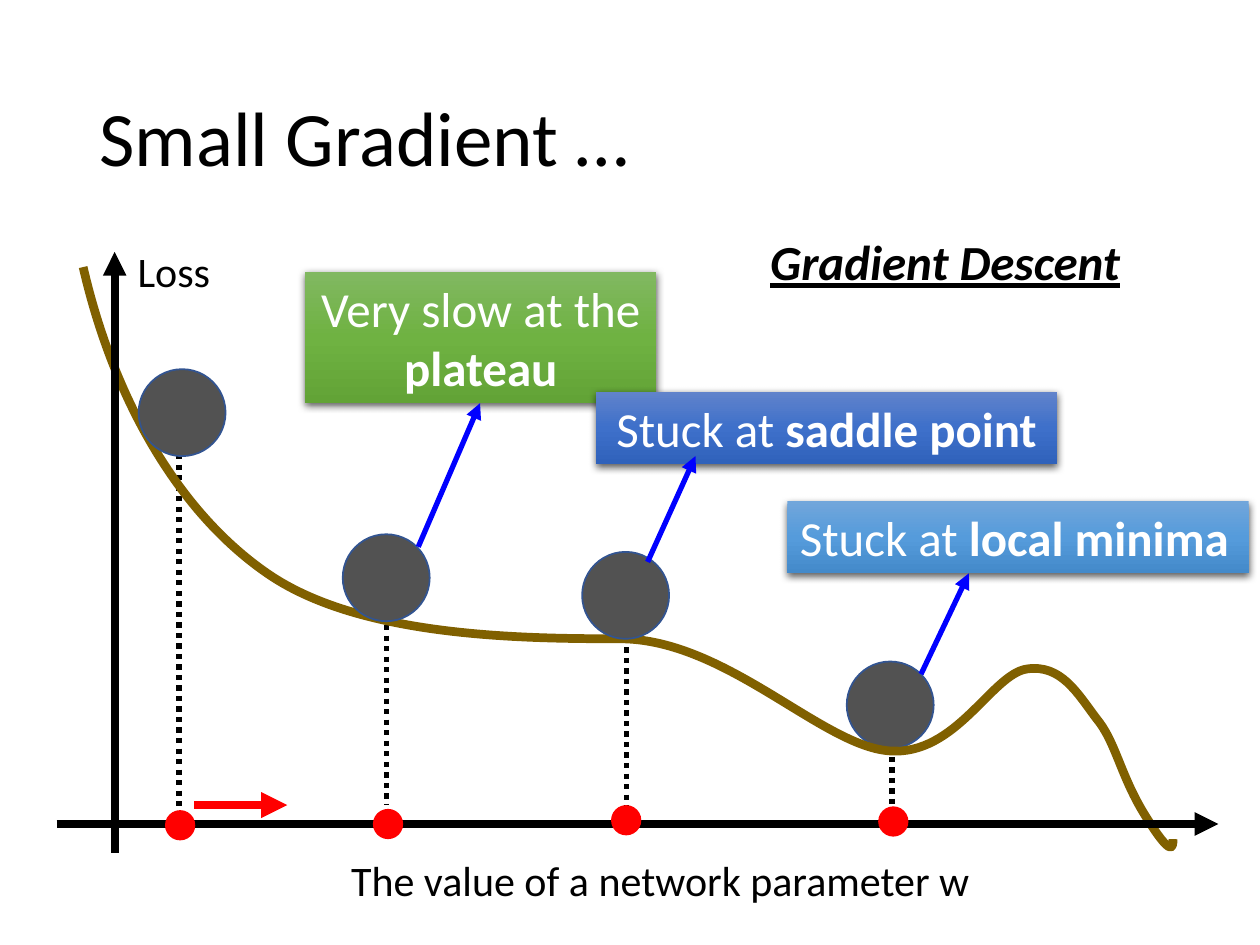
import copy

import pptx
import pptx.dml.color
import pptx.enum.dml
import pptx.enum.shapes
import pptx.enum.text
import pptx.oxml
import pptx.oxml.ns
import pptx.util
from lxml import etree

Inches = pptx.util.Inches
Pt = pptx.util.Pt
qn = pptx.oxml.ns.qn
SHAPE = pptx.enum.shapes.MSO_SHAPE
ALIGN = pptx.enum.text.PP_ALIGN
ANCHOR = pptx.enum.text.MSO_ANCHOR
FONT = "Calibri"

BALL = 0.69
DOT = 0.24
LOSS_START = (0.66, 2.12)
# Each row holds two control points and an end point
LOSS_CURVES = [
    ((0.9, 3.16), (1.41, 4.06), (2.12, 4.55)),
    ((2.84, 5.05), (4.09, 5.07), (4.92, 5.07)),
    ((5.76, 5.07), (6.52, 5.92), (7.06, 5.96)),
    ((7.59, 6), (7.87, 5.35), (8.15, 5.31)),
    ((8.42, 5.27), (8.55, 5.5), (8.7, 5.7)),
    ((8.86, 5.89), (8.89, 6.16), (9.1, 6.49)),
    ((9.3, 6.81), (9.31, 6.73), (9.31, 6.66)),
]


def rgb(color):
    return pptx.dml.color.RGBColor.from_string(color)


def write(sp, *parts, size=24, color="000000", bold=False, italic=False,
          underline=False, align=ALIGN.CENTER, anchor=ANCHOR.TOP, spacing=None):
    """Write parts as runs of one paragraph; parts after the first are bold."""
    tf = sp.text_frame
    tf.word_wrap = True
    tf.vertical_anchor = anchor
    p = tf.paragraphs[0]
    p.alignment = align
    if spacing:
        p.line_spacing = spacing
    for i, text in enumerate(parts):
        r = p.add_run()
        r.text = text
        r.font.name = FONT
        r.font.size = Pt(size)
        r.font.color.rgb = rgb(color)
        r.font.bold = bold or i > 0
        r.font.italic = italic
        r.font.underline = underline


def add_text(s, x, y, w, h, *parts, **fmt):
    sp = s.shapes.add_textbox(Inches(x), Inches(y), Inches(w), Inches(h))
    write(sp, *parts, **fmt)


def add_line(s, start, end, color, width, arrow=False, dotted=False):
    ends = [Inches(v) for v in (*start, *end)]
    cx = s.shapes.add_connector(pptx.enum.shapes.MSO_CONNECTOR.STRAIGHT, *ends)
    cx.line.color.rgb = rgb(color)
    cx.line.width = Pt(width)
    if dotted:
        cx.line.dash_style = pptx.enum.dml.MSO_LINE.ROUND_DOT
    if arrow:
        etree.SubElement(cx.line._get_or_add_ln(), qn("a:tailEnd"), type="triangle")
    etree.SubElement(cx._element.spPr, qn("a:effectLst"))


def add_drop(s, x, top, bottom):
    add_line(s, (x, top), (x, bottom), "000000", 3, dotted=True)


def add_circle(s, x, y, size, fill, outline=None):
    sp = s.shapes.add_shape(SHAPE.OVAL, Inches(x), Inches(y), Inches(size), Inches(size))
    sp.shadow.inherit = False
    sp.fill.solid()
    sp.fill.fore_color.rgb = rgb(fill)
    if outline:
        sp.line.color.rgb = rgb(outline)
        sp.line.width = Pt(1)
    else:
        sp.line.fill.background()


def add_ball(s, x, y):
    add_circle(s, x, y, BALL, "525252", outline="325491")


def add_callout(s, x, y, w, h, colors, *parts, align=ALIGN.CENTER):
    sp = s.shapes.add_shape(SHAPE.RECTANGLE, Inches(x), Inches(y), Inches(w), Inches(h))
    sp.line.fill.background()
    # Vertical three-stop gradient
    sp.fill.gradient()
    sp.fill.gradient_angle = 270
    first = sp._element.spPr.find(".//" + qn("a:gs"))
    first.addnext(copy.deepcopy(first))
    for stop, color, position in zip(sp.fill.gradient_stops, colors, (0, 0.5, 1)):
        stop.color.rgb = rgb(color)
        stop.position = position
    # Soft shadow below the box
    sp.shadow.inherit = False
    effects = sp._element.spPr.find(qn("a:effectLst"))
    shadow = etree.SubElement(effects, qn("a:outerShdw"), blurRad=str(Pt(4.5)),
                              dist=str(Pt(1.5)), dir="5400000", algn="ctr", rotWithShape="0")
    black = etree.SubElement(shadow, qn("a:srgbClr"), val="000000")
    etree.SubElement(black, qn("a:alpha"), val="63000")
    write(sp, *parts, size=28, color="FFFFFF", align=align)


def add_loss_curve(s):
    x0, y0 = LOSS_START
    fb = s.shapes.build_freeform(Inches(x0), Inches(y0))
    fb.add_line_segments([(Inches(x), Inches(y)) for *_, (x, y) in LOSS_CURVES], close=False)
    sp = fb.convert_to_shape()
    # Turn each straight segment into a Bezier curve
    segments = list(sp._element.spPr.iter(qn("a:lnTo")))
    for segment, points in zip(segments, LOSS_CURVES):
        curve = etree.Element(qn("a:cubicBezTo"))
        for x, y in points:
            etree.SubElement(curve, qn("a:pt"), x=str(Inches(x - x0)), y=str(Inches(y - y0)))
        segment.getparent().replace(segment, curve)
    sp.shadow.inherit = False
    sp.fill.background()
    sp.line.color.rgb = rgb("806000")
    sp.line.width = Pt(5)


def main():
    prs = pptx.Presentation()
    prs.slide_width, prs.slide_height = Inches(10), Inches(7.5)
    s = prs.slides.add_slide(prs.slide_layouts[6])

    # Dotted drops to the parameter axis, the first one behind its ball
    add_drop(s, 7.08, 5.59, 6.39)
    add_ball(s, 6.72, 5.25)
    for x, top, bottom in [(4.97, 4.47, 6.4), (3.07, 4.46, 6.39), (1.42, 3.27, 6.42)]:
        add_drop(s, x, top, bottom)
    add_line(s, (1.54, 6.39), (2.28, 6.39), "FF0000", 5, arrow=True)

    add_text(s, 0.69, 0.4, 8.62, 1.45, "Small Gradient …", size=44,
             align=ALIGN.LEFT, anchor=ANCHOR.MIDDLE, spacing=0.9)

    # Loss curve and axes
    add_loss_curve(s)
    add_ball(s, 4.62, 4.38)
    add_line(s, (0.45, 6.54), (9.67, 6.54), "000000", 4.5, arrow=True)
    add_line(s, (0.91, 6.77), (0.91, 2), "000000", 4.5, arrow=True)
    add_text(s, 0.85, 1.9, 1.06, 0.5, "Loss")
    add_text(s, 2.4, 6.73, 5.68, 0.5, "The value of a network parameter w")

    # Callouts and the remaining balls
    add_callout(s, 2.42, 2.16, 2.79, 1.04, ("81B861", "6FB242", "62A336"),
                "Very slow at the ", "plateau")
    add_callout(s, 6.25, 3.98, 3.66, 0.57, ("71A6DB", "559BDB", "448ACA"),
                "Stuck at ", "local minima", align=ALIGN.LEFT)
    add_ball(s, 1.1, 2.93)
    add_ball(s, 2.72, 4.24)
    add_callout(s, 4.73, 3.11, 3.66, 0.57, ("6183CB", "3E70CA", "3062BB"),
                "Stuck at ", "saddle point")
    for start, end in [((7.31, 5.35), (7.69, 4.55)), ((5.14, 4.46), (5.52, 3.62)),
                       ((3.32, 4.34), (3.81, 3.2))]:
        add_line(s, start, end, "0000FF", 3, arrow=True)

    # Parameter values on the axis
    for x, y in [(1.31, 6.43), (2.96, 6.42), (4.85, 6.39), (6.97, 6.4)]:
        add_circle(s, x, y, DOT, "FF0000")

    add_text(s, 5.86, 1.79, 3.28, 0.57, "Gradient Descent", size=28,
             bold=True, italic=True, underline=True)
    prs.save("out.pptx")


if __name__ == "__main__":
    main()
